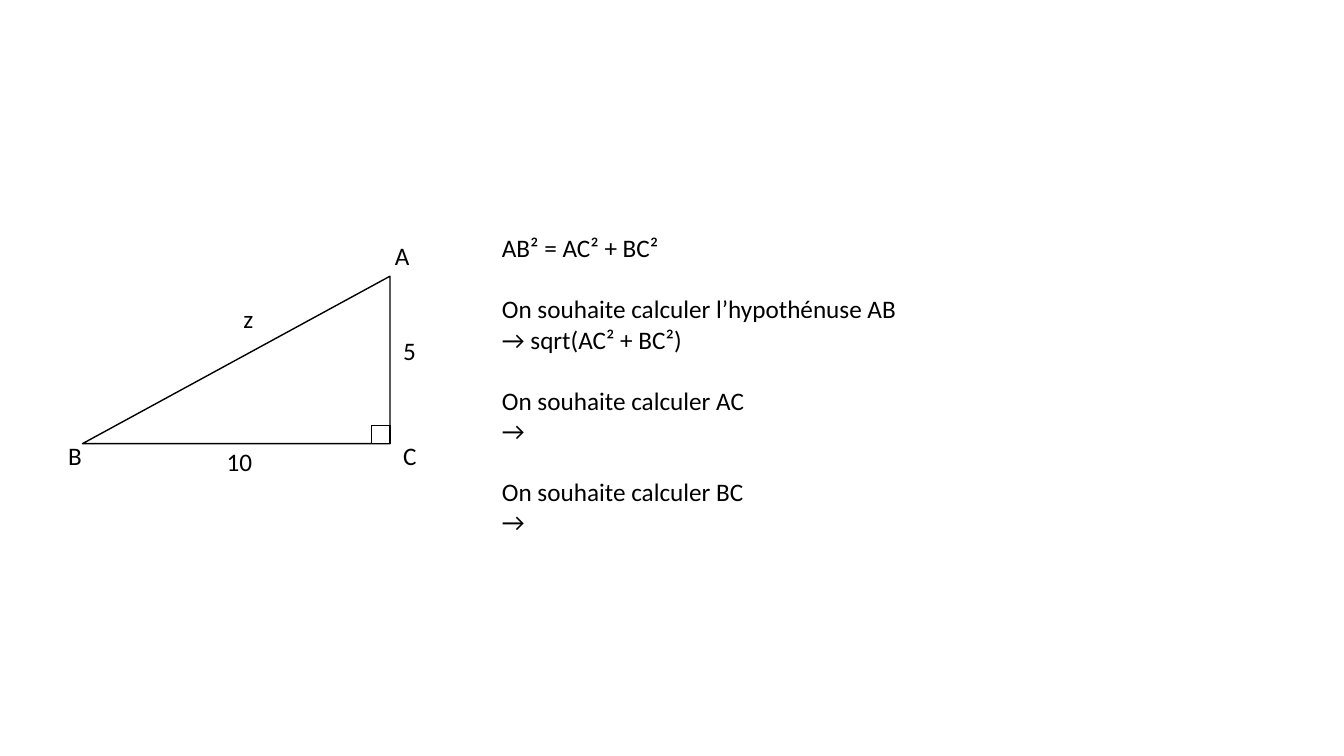
"""Draw a right triangle beside the Pythagorean relations."""
from dataclasses import dataclass
from typing import Any

from pptx import Presentation
from pptx.dml.color import RGBColor
from pptx.enum.shapes import MSO_SHAPE as Form
from pptx.enum.text import MSO_AUTO_SIZE as Fit, PP_ALIGN as Align
from pptx.shapes.autoshape import Shape
from pptx.shapes.shapetree import GroupShapes, SlideShapes
from pptx.util import Cm, Pt

BLACK = RGBColor(0, 0, 0)
WHITE = RGBColor(255, 255, 255)
FONT = {"name": "Calibri", "size": Pt(18)}
FRAME = {"word_wrap": True, "auto_size": Fit.SHAPE_TO_FIT_TEXT}
GAP = Pt(22)

LEFT, TOP, WIDE, HIGH = 2.08, 6.96, 7.75, 4.22
RIGHT, BASE = LEFT + WIDE, TOP + HIGH
MARK = 0.46

Tree = SlideShapes | GroupShapes


@dataclass(frozen=True)
class Box:
    """Place and size in centimetres."""
    left: float
    top: float
    wide: float
    high: float = 1.02


@dataclass(frozen=True)
class Label:
    """A short centred text and its box."""
    text: str
    box: Box


POINTS = (
    Label("A", Box(9.7, 5.94, 0.61)),
    Label("B", Box(1.47, 10.97, 0.61)),
    Label("C", Box(9.91, 10.97, 0.61)),
)
SIDES = (
    Label("10", Box(4.09, 11.13, 3.89)),
    Label("5", Box(9.75, 8.33, 1.14)),
    Label("z", Box(5.69, 7.52, 1.14)),
)
BLOCKS = (
    ("AB² = AC² + BC²",),
    ("On souhaite calculer l’hypothénuse AB", "→ sqrt(AC² + BC²)"),
    ("On souhaite calculer AC", "→"),
    ("On souhaite calculer BC", "→"),
)


def apply(target: Any, values: dict[str, Any]) -> None:
    """Set each named value on the target."""
    for name, value in values.items():
        setattr(target, name, value)


def place(box: Box) -> tuple[Cm, Cm, Cm, Cm]:
    """Turn a box into lengths."""
    return Cm(box.left), Cm(box.top), Cm(box.wide), Cm(box.high)


def draw(tree: Tree, form: Form, box: Box) -> Shape:
    """Add a white shape with a thin black outline."""
    shape = tree.add_shape(form, *place(box))
    shape.shadow.inherit = False
    shape.fill.solid()
    shape.fill.fore_color.rgb = WHITE
    shape.line.color.rgb = BLACK
    shape.line.width = Pt(1)
    return shape


def write(tree: Tree, box: Box, blocks: tuple[tuple[str, ...], ...],
          align: Align = Align.LEFT) -> None:
    """Add a text box whose blocks are set apart by a gap."""
    frame = tree.add_textbox(*place(box)).text_frame
    apply(frame, FRAME)
    lines = [(text, GAP if row and not spot else Pt(0))
             for row, block in enumerate(blocks)
             for spot, text in enumerate(block)]
    for order, (text, space) in enumerate(lines):
        para = frame.add_paragraph() if order else frame.paragraphs[0]
        apply(para, {"alignment": align, "space_before": space})
        run = para.add_run()
        run.text = text
        apply(run.font, FONT)
        run.font.color.rgb = BLACK


def label(tree: Tree, items: tuple[Label, ...]) -> None:
    """Write each label centred in its box."""
    for item in items:
        write(tree, item.box, ((item.text,),), Align.CENTER)


def main() -> None:
    """Build and save the slide."""
    deck = Presentation()
    apply(deck, {"slide_width": Cm(33.87), "slide_height": Cm(19.05)})
    tree = deck.slides.add_slide(deck.slide_layouts[6]).shapes

    figure = tree.add_group_shape().shapes
    sides = draw(figure, Form.ISOSCELES_TRIANGLE, Box(LEFT, TOP, WIDE, HIGH))
    sides.adjustments[0] = 1
    label(figure, POINTS)
    draw(figure, Form.RECTANGLE, Box(RIGHT - MARK, BASE - MARK, MARK, MARK))

    write(tree, Box(12.4, 5.74, 12.5, 7.95), BLOCKS)
    label(tree, SIDES)
    deck.save("out.pptx")


if __name__ == "__main__":
    main()
